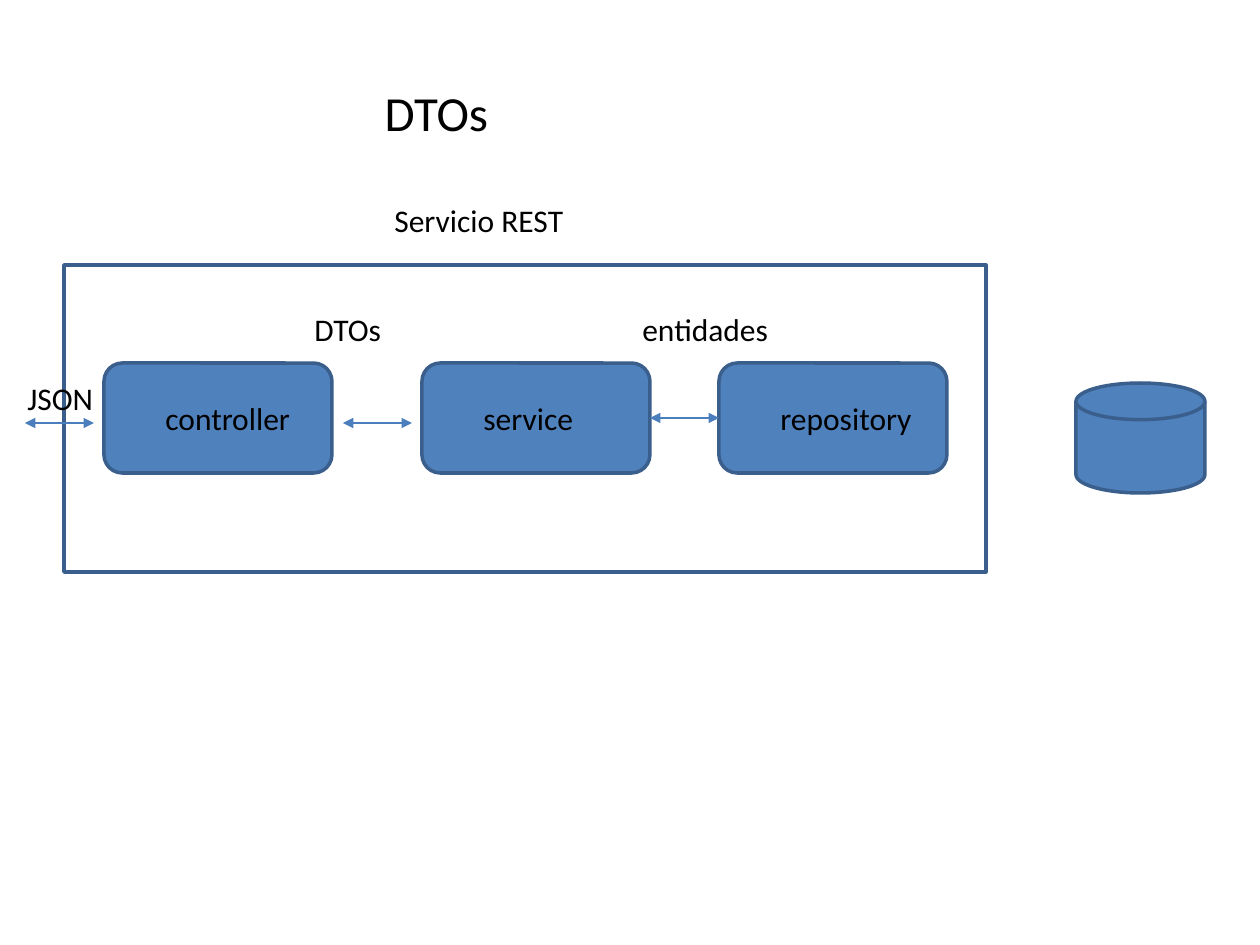
"""Build the DTOs slide: a REST service with its layers, data flows and database."""
from typing import NamedTuple

from lxml import etree
from pptx import Presentation
from pptx import util as u
from pptx.dml.color import RGBColor
from pptx.enum import shapes, text
from pptx.oxml.ns import qn

PX_PER_INCH = 126
BLACK = RGBColor(0x00, 0x00, 0x00)
BLUE = RGBColor(0x4F, 0x81, 0xBD)
OUTLINE = RGBColor(0x3A, 0x5F, 0x8C)
ARROW = RGBColor(0x4B, 0x7E, 0xBC)

LAYER_TOP, LAYER_WIDTH, LAYER_HEIGHT = 363, 228, 110
LABEL_HEIGHT = 50
ARROW_LENGTH = 69


class Box(NamedTuple):
    left: int
    top: int
    width: int
    height: int


class Label(NamedTuple):
    wording: str
    box: Box


class Layer(NamedTuple):
    name: str
    left: int


class Flow(NamedTuple):
    left: int
    y: int


TITLE = Label("DTOs", Box(372, 76, 179, 72))
SERVICE_FRAME = Box(64, 265, 922, 307)
DATABASE = Box(1076, 383, 129, 110)
LAYERS = [Layer("controller", 104), Layer("service", 422), Layer("repository", 719)]
LABELS = [
    Label("Servicio REST", Box(382, 195, 377, LABEL_HEIGHT)),
    Label("DTOs", Box(302, 304, 179, LABEL_HEIGHT)),
    Label("entidades", Box(630, 304, 179, LABEL_HEIGHT)),
    Label("JSON", Box(15, 373, 149, LABEL_HEIGHT)),
]
FLOWS = [Flow(25, 423), Flow(343, 423), Flow(650, 418)]


def px(length: int) -> u.Emu:
    """Turn pixels into EMU."""
    return u.Emu(round(length * u.Inches(1) / PX_PER_INCH))


def write(shape, wording: str, size: int) -> None:
    """Put left-aligned black wording at the top of a shape."""
    frame = shape.text_frame
    frame.text = wording
    frame_format = {
        "word_wrap": True,
        "vertical_anchor": text.MSO_ANCHOR.TOP,
        "auto_size": text.MSO_AUTO_SIZE.SHAPE_TO_FIT_TEXT,
    }
    for attribute, value in frame_format.items():
        setattr(frame, attribute, value)
    paragraph = frame.paragraphs[0]
    paragraph.alignment = text.PP_ALIGN.LEFT
    font = paragraph.runs[0].font
    for attribute, value in {"name": "Calibri", "size": u.Pt(size)}.items():
        setattr(font, attribute, value)
    font.color.rgb = BLACK


def add_title(slide, title: Label) -> None:
    """Move and format the title placeholder."""
    heading = slide.shapes.title
    for attribute, length in title.box._asdict().items():
        setattr(heading, attribute, px(length))
    write(heading, title.wording, 28)


def add_label(slide, label: Label) -> None:
    """Add a text label."""
    write(slide.shapes.add_textbox(*map(px, label.box)), label.wording, 18)


def add_block(slide, kind: shapes.MSO_SHAPE, box: Box, filled: bool = True) -> None:
    """Add an outlined shape, blue inside if filled."""
    block = slide.shapes.add_shape(kind, *map(px, box))
    block.shadow.inherit = False
    if filled:
        block.fill.solid()
        block.fill.fore_color.rgb = BLUE
    else:
        block.fill.background()
    block.line.color.rgb = OUTLINE
    block.line.width = u.Pt(2)


def add_layer(slide, layer: Layer) -> None:
    """Add a rounded layer of the service with its name."""
    box = Box(layer.left, LAYER_TOP, LAYER_WIDTH, LAYER_HEIGHT)
    add_block(slide, shapes.MSO_SHAPE.ROUNDED_RECTANGLE, box)
    add_label(slide, Label(layer.name, Box(layer.left + 49, LAYER_TOP + 30, 159, LABEL_HEIGHT)))


def add_flow(slide, flow: Flow) -> None:
    """Add a horizontal arrow with a head at both ends."""
    arrow = slide.shapes.add_connector(
        shapes.MSO_CONNECTOR.STRAIGHT,
        px(flow.left), px(flow.y), px(flow.left + ARROW_LENGTH), px(flow.y),
    )
    arrow.line.color.rgb = ARROW
    arrow.line.width = u.Pt(0.75)
    outline = arrow.line._get_or_add_ln()
    for end in ("a:headEnd", "a:tailEnd"):
        etree.SubElement(outline, qn(end), type="triangle")
    etree.SubElement(arrow._element.spPr, qn("a:effectLst"))


def main() -> None:
    """Draw the slide and save it."""
    deck = Presentation()
    deck.slide_width, deck.slide_height = u.Inches(10), u.Inches(7.5)
    slide = deck.slides.add_slide(deck.slide_layouts[5])
    add_title(slide, TITLE)
    add_block(slide, shapes.MSO_SHAPE.RECTANGLE, SERVICE_FRAME, filled=False)
    add_block(slide, shapes.MSO_SHAPE.FLOWCHART_MAGNETIC_DISK, DATABASE)
    for layer in LAYERS:
        add_layer(slide, layer)
    for flow in FLOWS:
        add_flow(slide, flow)
    for label in LABELS:
        add_label(slide, label)
    deck.save("out.pptx")


if __name__ == "__main__":
    main()
